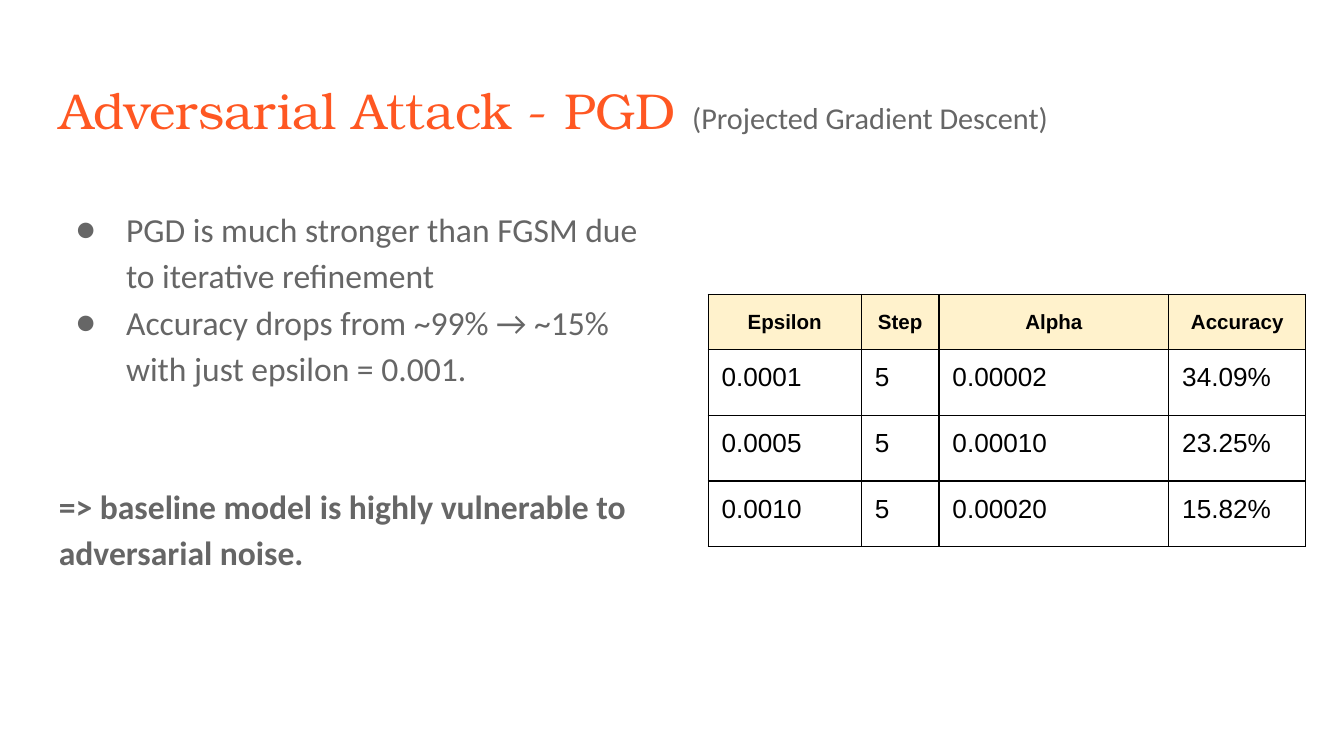
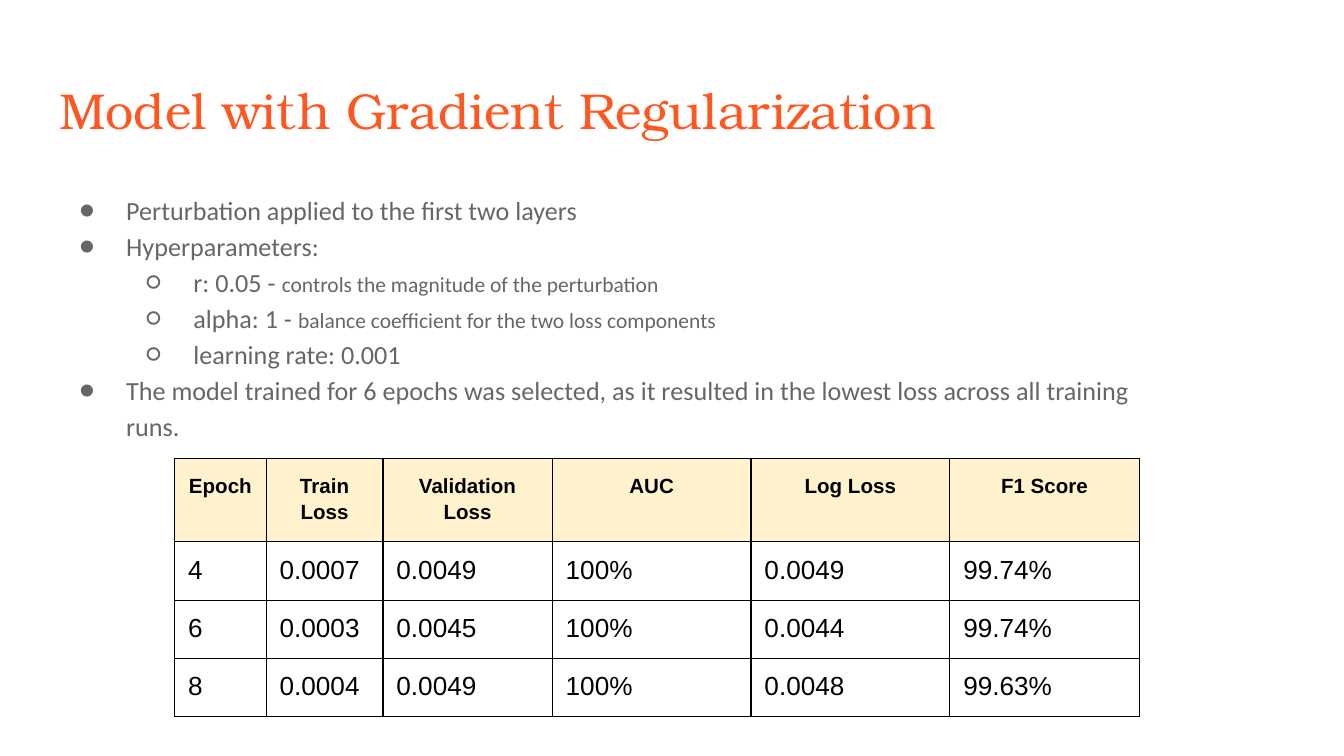
from lxml import etree
from pptx import Presentation
from pptx.dml.color import RGBColor
from pptx.enum import text
from pptx.oxml import ns
from pptx.util import Pt

HUES = {"title": "FF5722", "body": "666666", "head": "FFF2CC", "ink": "000000"}
FONTS = {"title": "TeX Gyre Bonum", "body": "Calibri", "cell": "Arial"}
TITLE = (24.5, 35.3, 671, 45.4)
PAD = 7.2
MARKS = "●○"


def node(top, tag, **attrs):
    return etree.SubElement(top, ns.qn(tag), attrs)


def write(para, words, font="body", size=14, hue="body", bold=False):
    run = para.add_run()
    run.text = words
    run.font.name = FONTS[font]
    run.font.size = Pt(size)
    run.font.bold = bold
    run.font.color.rgb = RGBColor.from_string(HUES[hue])


def pad(frame):
    frame.margin_left = frame.margin_right = Pt(PAD)
    frame.margin_top = frame.margin_bottom = Pt(PAD)


def place(shape, box):
    shape.left, shape.top, shape.width, shape.height = map(Pt, box)


def bullet(para, level, hang):
    para.level = level
    props = para._p.get_or_add_pPr()
    props.set("marL", str(Pt(36 * (level + 1))))
    props.set("indent", str(-Pt(hang)))
    color = node(props, "a:buClr")
    node(color, "a:srgbClr", val=HUES["body"])
    node(props, "a:buFont", typeface=FONTS["body"])
    node(props, "a:buChar", char=MARKS[level])


def add_title(slide, words, note=""):
    shape = slide.shapes.title
    place(shape, TITLE)
    frame = shape.text_frame
    pad(frame)
    frame.auto_size = text.MSO_AUTO_SIZE.NONE
    frame.vertical_anchor = text.MSO_ANCHOR.TOP
    para = frame.paragraphs[0]
    para.alignment = text.PP_ALIGN.LEFT
    write(para, words, font="title", size=27, hue="title")
    if note:
        write(para, note, size=16.2)


def add_list(slide, box, items, size, hang, end=""):
    frame = slide.shapes.add_textbox(*map(Pt, box)).text_frame
    frame.word_wrap = True
    pad(frame)
    para = frame.paragraphs[0]
    for i, (level, words, note) in enumerate(items):
        if i:
            para = frame.add_paragraph()
        para.line_spacing = 1.15
        para.space_before = Pt(0)
        bullet(para, level, hang)
        write(para, words, size=size)
        if note:
            write(para, note, size=11.5)
    if end:
        para = frame.add_paragraph()
        para.line_spacing = 1.15
        para.space_before = Pt(49)
        write(para, end, size=size, bold=True)


def border(cell):
    props = cell._tc.get_or_add_tcPr()
    for side in "LRTB":
        line = node(props, "a:ln" + side, w=str(Pt(0.75)))
        fill = node(line, "a:solidFill")
        node(fill, "a:srgbClr", val=HUES["ink"])


def add_grid(slide, spot, widths, heights, rows):
    high, low = heights
    total = high + low * (len(rows) - 1)
    box = (*spot, sum(widths), total)
    grid = slide.shapes.add_table(len(rows), len(widths), *map(Pt, box)).table
    grid.first_row = grid.horz_banding = False
    for col, width in zip(grid.columns, widths):
        col.width = Pt(width)
    for r, row in enumerate(rows):
        head = r == 0
        grid.rows[r].height = Pt(high if head else low)
        for c, words in enumerate(row):
            cell = grid.cell(r, c)
            pad(cell)
            border(cell)
            para = cell.text_frame.paragraphs[0]
            if head:
                cell.fill.solid()
                cell.fill.fore_color.rgb = RGBColor.from_string(HUES["head"])
                para.alignment = text.PP_ALIGN.CENTER
                para.line_spacing = 1.15
            else:
                cell.fill.background()
            write(para, words, font="cell", size=11 if head else 14,
                  hue="ink", bold=head)


def attack(slide):
    add_title(slide, "Adversarial Attack - PGD ", "(Projected Gradient Descent)")
    items = [
        (0, "PGD is much stronger than FGSM due to iterative refinement", ""),
        (0, "Accuracy drops from ~99% → ~15% with just epsilon = 0.001.", ""),
    ]
    add_list(slide, (24.5, 101.5, 335.5, 269.3), items, 18, 27,
             "=> baseline model is highly vulnerable to adversarial noise.")
    rows = [
        ("Epsilon", "Step", "Alpha", "Accuracy"),
        ("0.0001", "5", "0.00002", "34.09%"),
        ("0.0005", "5", "0.00010", "23.25%"),
        ("0.0010", "5", "0.00020", "15.82%"),
    ]
    add_grid(slide, (379.4, 157.7), (82.1, 41.6, 123.1, 73.4),
             (29.5, 35.2), rows)


def model(slide):
    add_title(slide, "Model with Gradient Regularization")
    items = [
        (0, "Perturbation applied to the first two layers", ""),
        (0, "Hyperparameters:", ""),
        (1, "r: 0.05 - ", "controls the magnitude of the perturbation"),
        (1, "alpha: 1 - ", "balance coefficient for the two loss components"),
        (1, "learning rate: 0.001", ""),
        (0, "The model trained for 6 epochs was selected, as it resulted "
            "in the lowest loss across all training runs.", ""),
    ]
    add_list(slide, (24.5, 94.3, 610.6, 279.4), items, 14, 25.2)
    rows = [
        ("Epoch", "Train Loss", "Validation Loss", "AUC", "Log Loss", "F1 Score"),
        ("4", "0.0007", "0.0049", "100%", "0.0049", "99.74%"),
        ("6", "0.0003", "0.0045", "100%", "0.0044", "99.74%"),
        ("8", "0.0004", "0.0049", "100%", "0.0048", "99.63%"),
    ]
    add_grid(slide, (93.6, 245.5), (49, 62.6, 90.7, 106.5, 106.5, 101.5),
             (42, 30.2), rows)


def main():
    deck = Presentation()
    deck.slide_width, deck.slide_height = Pt(720), Pt(405)
    for build in (attack, model):
        build(deck.slides.add_slide(deck.slide_layouts[5]))
    deck.save("out.pptx")


if __name__ == "__main__":
    main()
